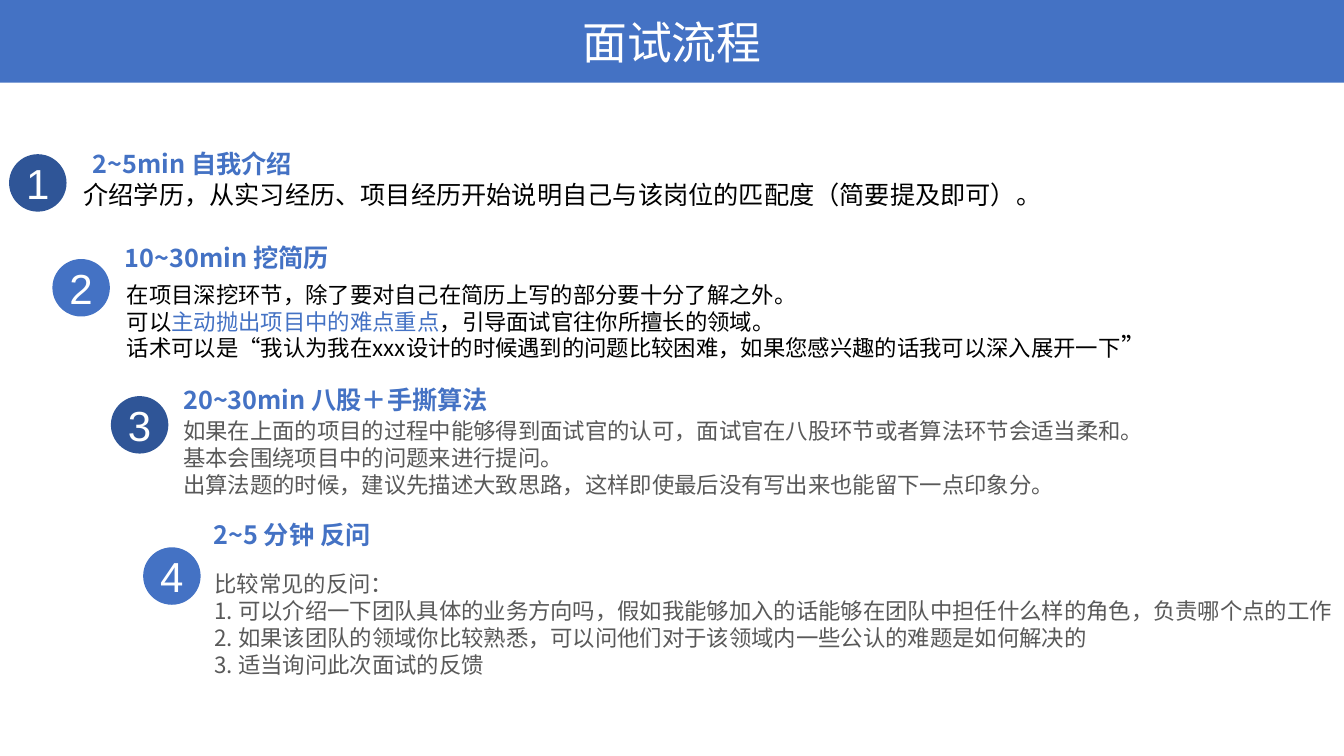
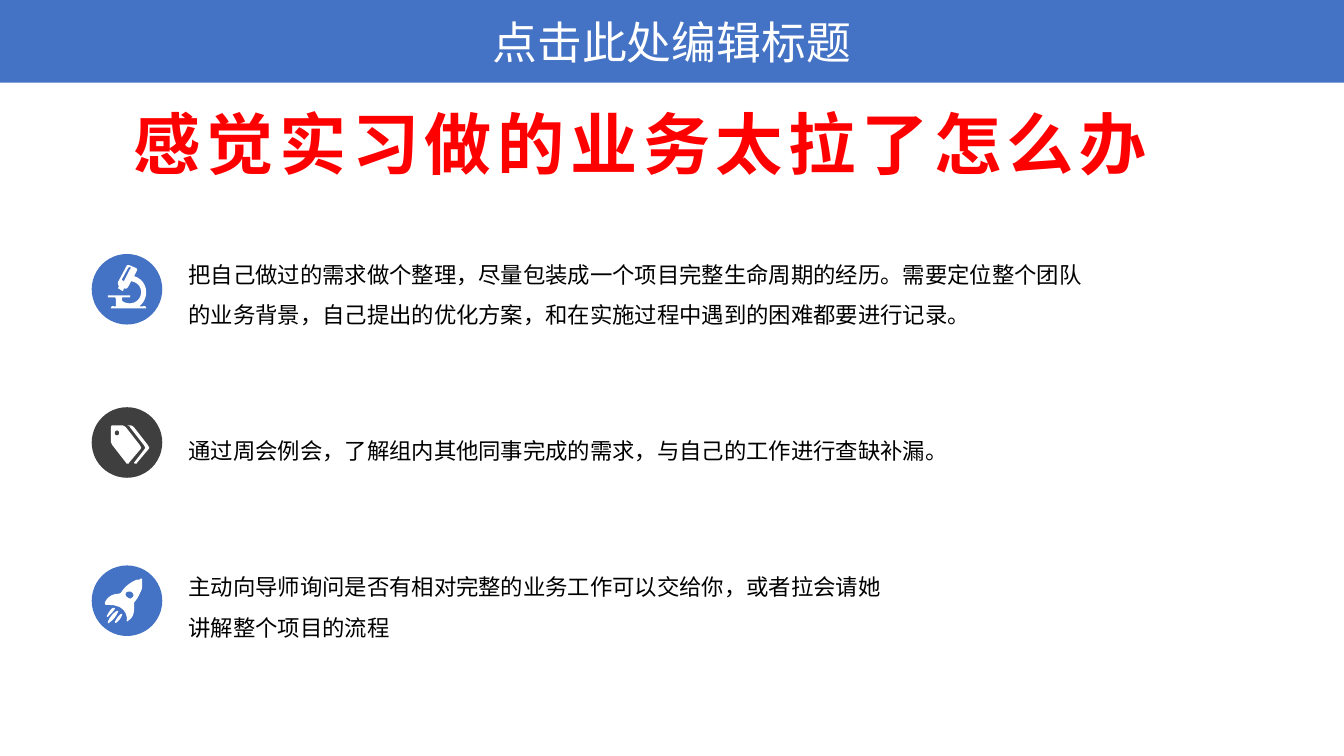
from dataclasses import dataclass

from lxml.etree import SubElement
from pptx import Presentation
from pptx.dml.color import RGBColor
from pptx.enum.shapes import MSO_SHAPE as Shape
from pptx.enum.text import MSO_ANCHOR as Anchor, MSO_AUTO_SIZE as AutoSize, PP_ALIGN as Align
from pptx.oxml.ns import qn
from pptx.util import Pt

PX = 9144  # EMU per px, 100 px to the inch
SLIDE_W, SLIDE_H = 1333, 750
BAND_H = 82
TITLE_ONLY = 5


@dataclass(frozen=True)
class Theme:
    blue: str = "4472C4"
    navy: str = "2F5597"
    charcoal: str = "3F3F3F"
    black: str = "000000"
    grey: str = "595959"
    white: str = "FFFFFF"
    red: str = "FF0000"
    cjk: str = "Noto Sans CJK SC"
    latin: str = "Arial"
    title: int = 32
    question: int = 48
    number: int = 30
    heading: int = 18
    body: int = 16
    single: float = 1.2  # line pitch in ems
    loose: float = 1.8


THEME = Theme()

# Steps: badge box corner, badge colour, heading box, heading, detail box,
# detail size, detail colour, paragraphs
STEPS = [
    ((9, 153), THEME.navy, (82, 142, 225, 40), "2~5min 自我介绍",
     (73, 173, 970, 40), THEME.heading, THEME.black,
     ["介绍学历，从实习经历、项目经历开始说明自己与该岗位的匹配度（简要提及即可）。"]),
    ((52, 257), THEME.blue, (114, 235, 231, 40), "10~30min 挖简历",
     (116, 274, 1034, 94), THEME.body, THEME.black,
     ["在项目深挖环节，除了要对自己在简历上写的部分要十分了解之外。",
      [("可以", {}), ("主动抛出项目中的难点重点", {"color": THEME.blue}),
       ("，引导面试官往你所擅长的领域。", {})],
      [("话术可以是“我认为我在xxx设计的时候遇到的问题比较困难，如果您感兴趣的话我可以深入展开一下", {}),
       ("”", {"size": THEME.heading})]]),
    ((110, 393), THEME.navy, (172, 376, 331, 40), "20~30min 八股＋手撕算法",
     (172, 409, 976, 91), THEME.body, THEME.grey,
     ["如果在上面的项目的过程中能够得到面试官的认可，面试官在八股环节或者算法环节会适当柔和。",
      "基本会围绕项目中的问题来进行提问。",
      "出算法题的时候，建议先描述大致思路，这样即使最后没有写出来也能留下一点印象分。"]),
    ((142, 543), THEME.blue, (202, 510, 185, 40), "2~5 分钟 反问",
     (203, 561, 1134, 118), THEME.body, THEME.grey,
     ["比较常见的反问：",
      "1. 可以介绍一下团队具体的业务方向吗，假如我能够加入的话能够在团队中担任什么样的角色，负责哪个点的工作",
      "2. 如果该团队的领域你比较熟悉，可以问他们对于该领域内一些公认的难题是如何解决的",
      "3. 适当询问此次面试的反馈"]),
]

# Icon outlines in px from the badge corner: pairs are line ends,
# sextuples are cubic curves (two controls, then the end).
MICROSCOPE = [
    [(49, 52), (47, 52), (51, 49, 54, 44, 54, 38), (54, 30, 49, 24, 42, 22),
     (45, 16), (45, 15, 45, 15, 44, 14), (37, 11), (35, 11), (26, 28),
     (26, 29, 26, 31, 27, 32), (26, 34), (31, 37), (32, 34),
     (34, 35, 35, 34, 36, 33), (39, 27), (45, 28, 49, 32, 49, 38),
     (49, 44, 44, 49, 38, 49), (35, 49, 31, 48, 30, 46), (30, 45),
     (30, 44, 30, 43, 31, 43), (38, 43), (38, 41), (16, 41), (16, 43),
     (23, 43), (23, 43, 24, 44, 24, 45), (24, 52), (21, 52, 19, 51, 19, 54),
     (54, 54), (54, 51, 52, 52, 49, 52)],
    [(39, 14), (38, 15), (32, 27), (30, 26), (30, 25), (36, 14), (37, 13), (38, 13)],
]
TAGS = [
    [(48, 38), (48, 39, 49, 39, 49, 40), (49, 41, 48, 42, 48, 42), (37, 55),
     (37, 56, 36, 56, 36, 56), (35, 56, 34, 56, 34, 55), (20, 37),
     (20, 36, 19, 35, 19, 35), (19, 21), (19, 18, 20, 18, 21, 18), (30, 18),
     (31, 18, 33, 19, 34, 20)],
    [(25, 28), (28, 28, 28, 23, 25, 23), (22, 23, 22, 28, 25, 28)],
    [(56, 38), (56, 39, 57, 39, 57, 40), (57, 41, 56, 42, 56, 42), (45, 55),
     (45, 56, 44, 56, 44, 56), (43, 56, 42, 56, 42, 55), (52, 42),
     (52, 42, 53, 41, 53, 40), (53, 39, 52, 39, 52, 38), (38, 20),
     (38, 19, 36, 18, 35, 18), (38, 18), (40, 18, 41, 19, 42, 20)],
]
ROCKET = [
    [(30, 48), (30, 48, 31, 48, 30, 49), (30, 51, 27, 55, 24, 57),
     (23, 57, 23, 57, 23, 56), (24, 54, 26, 50, 29, 48)],
    [(26, 45), (26, 45, 27, 45, 26, 46), (25, 49, 22, 54, 17, 57),
     (16, 58, 16, 57, 16, 56), (17, 53, 20, 48, 25, 45)],
    [(22, 42), (23, 42, 23, 43, 23, 43), (22, 45, 19, 48, 16, 51),
     (15, 51, 15, 51, 15, 50), (16, 48, 18, 44, 21, 42)],
    [(37, 26), (36, 26, 35, 26, 34, 27), (33, 29, 34, 31, 36, 32),
     (37, 33, 39, 33, 40, 32), (41, 31), (42, 29, 41, 27, 39, 26)],
    [(49, 13), (50, 13), (50, 21), (50, 24, 48, 27, 48, 27),
     (47, 30, 45, 33, 42, 37), (42, 37, 42, 39, 42, 40),
     (42, 43, 43, 51, 36, 55), (35, 56, 34, 55, 35, 54),
     (35, 49, 33, 38, 14, 39), (13, 39, 13, 38, 13, 37),
     (14, 34, 18, 28, 27, 28), (27, 28, 29, 27, 29, 27),
     (31, 24, 34, 20, 39, 17), (42, 15, 45, 14, 46, 14),
     (48, 14, 48, 14, 48, 13)],
]

# Tips: badge top, badge colour, icon, text top, text width, Latin font, text
TIPS = [
    (252, THEME.blue, MICROSCOPE, 252, 900, THEME.cjk,
     "把自己做过的需求做个整理，尽量包装成一个项目完整生命周期的经历。需要定位整个团队的业务背景，自己提出的优化方案，和在实施过程中遇到的困难都要进行记录。"),
    (404, THEME.charcoal, TAGS, 407, 763, "Manrope",
     "通过周会例会，了解组内其他同事完成的需求，与自己的工作进行查缺补漏。"),
    (561, THEME.blue, ROCKET, 562, 716, THEME.cjk,
     "主动向导师询问是否有相对完整的业务工作可以交给你，或者拉会请她讲解整个项目的流程"),
]


def emu(*lengths):
    return [round(length * PX) for length in lengths]


def format_run(run, size, color, latin=THEME.cjk, bold=False, tracking=0):
    run.font.size = Pt(size)
    run.font.bold = bold
    run.font.color.rgb = RGBColor.from_string(color)
    run.font.name = latin
    properties = run.font._element
    SubElement(properties, qn("a:ea")).set("typeface", THEME.cjk)
    if tracking:
        properties.set("spc", str(tracking * 100))


def fill_plain(shape, color):
    shape.shadow.inherit = False
    shape.fill.solid()
    shape.fill.fore_color.rgb = RGBColor.from_string(color)
    shape.line.fill.background()


def add_preset(slide, preset, box, color):
    shape = slide.shapes.add_shape(preset, *emu(*box))
    fill_plain(shape, color)
    return shape


def add_text(slide, box, paragraphs, size, color, pitch=None, wrap=True,
             anchor=Anchor.TOP, inset_left=10, **style):
    """A paragraph is a string, or a list of (text, style changes) pairs."""
    frame = slide.shapes.add_textbox(*emu(*box)).text_frame
    frame.word_wrap = wrap
    frame.vertical_anchor = anchor
    frame.margin_left = inset_left * PX
    for index, content in enumerate(paragraphs):
        paragraph = frame.add_paragraph() if index else frame.paragraphs[0]
        if pitch:
            paragraph.line_spacing = Pt(round(size * pitch, 1))
        pieces = [(content, {})] if isinstance(content, str) else content
        for text, changes in pieces:
            run = paragraph.add_run()
            run.text = text
            format_run(run, **{"size": size, "color": color, **style, **changes})


def add_titled_slide(deck, title_text):
    slide = deck.slides.add_slide(deck.slide_layouts[TITLE_ONLY])
    band = add_preset(slide, Shape.RECTANGLE, (0, 0, SLIDE_W, BAND_H), THEME.blue)
    title = slide.shapes.title
    title._element.addprevious(band._element)
    title.left, title.top, title.width, title.height = emu(466, 9, 401, 64)
    frame = title.text_frame
    frame.text = title_text
    frame.auto_size = AutoSize.NONE
    frame.vertical_anchor = Anchor.MIDDLE
    frame.paragraphs[0].alignment = Align.CENTER
    format_run(frame.paragraphs[0].runs[0], THEME.title, THEME.white)
    return slide


def add_number_badge(slide, corner, number, color):
    frame = add_preset(slide, Shape.OVAL, (*corner, 57, 57), color).text_frame
    frame.margin_left = frame.margin_right = frame.margin_top = frame.margin_bottom = 0
    frame.word_wrap = False
    frame.vertical_anchor = Anchor.MIDDLE
    frame.text = str(number)
    frame.paragraphs[0].alignment = Align.CENTER
    format_run(frame.paragraphs[0].runs[0], THEME.number, THEME.white, THEME.latin)


def flatten(contour, steps=6):
    """Turn the line ends and cubic curves of a contour into points."""
    points = [contour[0]]
    for part in contour[1:]:
        if len(part) == 2:
            points.append(part)
            continue
        controls = (points[-1], part[:2], part[2:4], part[4:])
        for step in range(1, steps + 1):
            t = step / steps
            weights = ((1 - t) ** 3, 3 * t * (1 - t) ** 2, 3 * t * t * (1 - t), t ** 3)
            points.append(tuple(sum(w * c[axis] for w, c in zip(weights, controls))
                                for axis in (0, 1)))
    return points


def add_icon_badge(slide, left, top, color, icon):
    add_preset(slide, Shape.OVAL, (left, top, 70, 70), color)
    contours = [[emu(left + x, top + y) for x, y in flatten(contour)] for contour in icon]
    builder = slide.shapes.build_freeform(*contours[0][0], scale=1.0)
    for index, points in enumerate(contours):
        if index:
            builder.move_to(*points[0])
        builder.add_line_segments(points[1:], close=True)
    fill_plain(builder.convert_to_shape(), THEME.white)


def build_process(deck):
    slide = add_titled_slide(deck, "面试流程")
    for number, step in enumerate(STEPS, 1):
        corner, badge, heading_box, heading, detail_box, size, color, details = step
        add_number_badge(slide, corner, number, badge)
        add_text(slide, heading_box, [heading], THEME.heading, THEME.blue,
                 THEME.single, wrap=False, bold=True)
        add_text(slide, detail_box, details, size, color, THEME.single)


def build_advice(deck):
    slide = add_titled_slide(deck, "点击此处编辑标题")
    for badge_top, color, icon, top, width, latin, tip in TIPS:
        add_icon_badge(slide, 91, badge_top, color, icon)
        add_text(slide, (187, top, width, 67), [tip], THEME.body, THEME.black,
                 THEME.loose, anchor=Anchor.MIDDLE, inset_left=0, latin=latin)
    add_text(slide, (123, 96, 1071, 91), ["感觉实习做的业务太拉了怎么办"], THEME.question,
             THEME.red, anchor=Anchor.MIDDLE, latin=THEME.latin, bold=True, tracking=4)


def main():
    deck = Presentation()
    deck.slide_width, deck.slide_height = emu(SLIDE_W, SLIDE_H)
    build_process(deck)
    build_advice(deck)
    deck.save("out.pptx")


if __name__ == "__main__":
    main()
